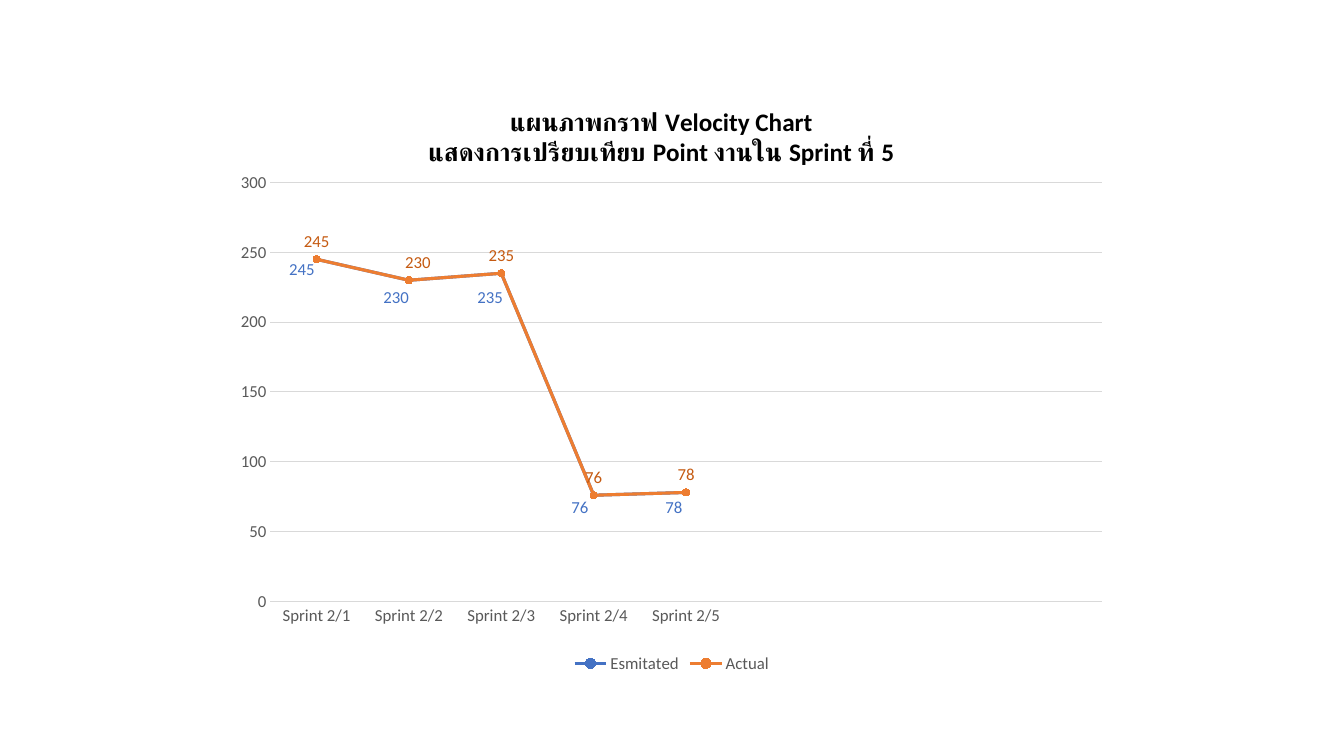
from dataclasses import dataclass

from lxml import etree
from pptx import Presentation
from pptx import util as u
from pptx.chart.data import CategoryChartData
from pptx.dml.color import RGBColor
from pptx.enum import chart as charts
from pptx.oxml import ns


@dataclass(frozen=True)
class Theme:
    font: str = "Calibri"
    title_size: int = 18
    label_size: int = 12
    title: str = "000000"
    axis_text: str = "595959"
    grid: str = "D9D9D9"
    estimated: str = "4472C4"
    actual: str = "ED7D31"
    actual_label: str = "C55A11"


THEME = Theme()
TITLE_LINES = ["แผนภาพกราฟ Velocity Chart",
               "แสดงการเปรียบเทียบ Point งานใน Sprint ที่ 5"]
POINTS = [245, 230, 235, 76, 78]
EMPTY_SPRINTS = 4
# Tops of the hand-placed estimate labels, in centimetres
LABEL_TOPS = [6.4, 7.11, 7.11, 12.4, 12.4]
LABEL_LEFT, LABEL_STEP = 7.04, 2.37


def style_font(font, color, size=THEME.label_size, bold=False):
    font.name = THEME.font
    font.size = u.Pt(size)
    font.bold = bold
    font.color.rgb = RGBColor.from_string(color)


def style_line(line, color, width):
    line.color.rgb = RGBColor.from_string(color)
    line.width = u.Pt(width)


def set_layout(parent, after, **settings):
    """Place a chart part by fractions of the chart area."""
    for old_layout in parent.findall(ns.qn("c:layout")):
        parent.remove(old_layout)
    layout = etree.Element(ns.qn("c:layout"))
    manual = etree.SubElement(layout, ns.qn("c:manualLayout"))
    for name, value in settings.items():
        etree.SubElement(manual, ns.qn(f"c:{name}")).set("val", str(value))
    if after is None:
        parent.insert(0, layout)
    else:
        after.addnext(layout)


def add_title(chart):
    frame = chart.chart_title.text_frame
    frame.text = "\n".join(TITLE_LINES)
    for paragraph in frame.paragraphs:
        for run in paragraph.runs:
            style_font(run.font, THEME.title, THEME.title_size, bold=True)
    title = chart.chart_title._element
    set_layout(title, title.find(ns.qn("c:tx")),
               xMode="edge", yMode="edge", x=0.225, y=0.037)


def style_axes(chart):
    for axis in (chart.category_axis, chart.value_axis):
        axis.major_tick_mark = charts.XL_TICK_MARK.NONE
        axis.minor_tick_mark = charts.XL_TICK_MARK.NONE
        style_font(axis.tick_labels.font, THEME.axis_text)
    style_line(chart.category_axis.format.line, THEME.grid, 0.75)
    value_axis = chart.value_axis
    value_axis.minimum_scale, value_axis.maximum_scale = 0, 300
    value_axis.major_unit = 50
    value_axis.format.line.fill.background()
    style_line(value_axis.major_gridlines.format.line, THEME.grid, 0.75)


def style_series(series, color):
    series.smooth = False
    style_line(series.format.line, color, 2.25)
    marker = series.marker
    marker.style = charts.XL_MARKER_STYLE.CIRCLE
    marker.size = 5
    marker.format.fill.solid()
    marker.format.fill.fore_color.rgb = RGBColor.from_string(color)
    style_line(marker.format.line, color, 0.75)


def add_actual_labels(series):
    labels = series.data_labels
    labels.show_value = True
    labels.position = charts.XL_LABEL_POSITION.ABOVE
    style_font(labels.font, THEME.actual_label)
    # The second label sits slightly to the right of its point
    shifted = series.points[1].data_label
    style_font(shifted.font, THEME.actual_label)
    shifted.position = charts.XL_LABEL_POSITION.ABOVE
    element = labels._element.find(ns.qn("c:dLbl"))
    set_layout(element, element.find(ns.qn("c:idx")), x=0.01, y=0)


def add_velocity_chart(slide):
    data = CategoryChartData()
    data.categories = ([f"Sprint 2/{number}" for number in range(1, len(POINTS) + 1)]
                       + [""] * EMPTY_SPRINTS)
    for name in ("Esmitated", "Actual"):
        data.add_series(name, POINTS + [None] * EMPTY_SPRINTS)
    chart = slide.shapes.add_chart(
        charts.XL_CHART_TYPE.LINE_MARKERS,
        u.Cm(5.64), u.Cm(2.01), u.Cm(22.58), u.Cm(15.06), data).chart
    chart.font.name = THEME.font
    chart.font.size = u.Pt(10)
    add_title(chart)
    style_axes(chart)

    # Series and labels
    plot = chart.plots[0]
    plot.vary_by_categories = False
    for series, color in zip(plot.series, (THEME.estimated, THEME.actual)):
        style_series(series, color)
    add_actual_labels(plot.series[1])

    # Legend and plot area
    chart.has_legend = True
    chart.legend.position = charts.XL_LEGEND_POSITION.BOTTOM
    chart.legend.include_in_layout = False
    style_font(chart.legend.font, THEME.axis_text)
    plot_area = chart._chartSpace.find(".//" + ns.qn("c:plotArea"))
    set_layout(plot_area, None, layoutTarget="inner", xMode="edge", yMode="edge",
               x=0.052, y=0.172, w=0.928, h=0.701)


def add_estimate_label(slide, left, top, value):
    box = slide.shapes.add_textbox(u.Cm(left), u.Cm(top), u.Cm(1.27), u.Cm(0.71))
    frame = box.text_frame
    frame.word_wrap = False
    frame.text = str(value)
    style_font(frame.paragraphs[0].runs[0].font, THEME.estimated)


def main():
    presentation = Presentation()
    presentation.slide_width = u.Cm(33.87)
    presentation.slide_height = u.Cm(19.05)
    slide = presentation.slides.add_slide(presentation.slide_layouts[6])
    add_velocity_chart(slide)
    for index, (value, top) in enumerate(zip(POINTS, LABEL_TOPS)):
        add_estimate_label(slide, LABEL_LEFT + index * LABEL_STEP, top, value)
    presentation.save("out.pptx")


main()
